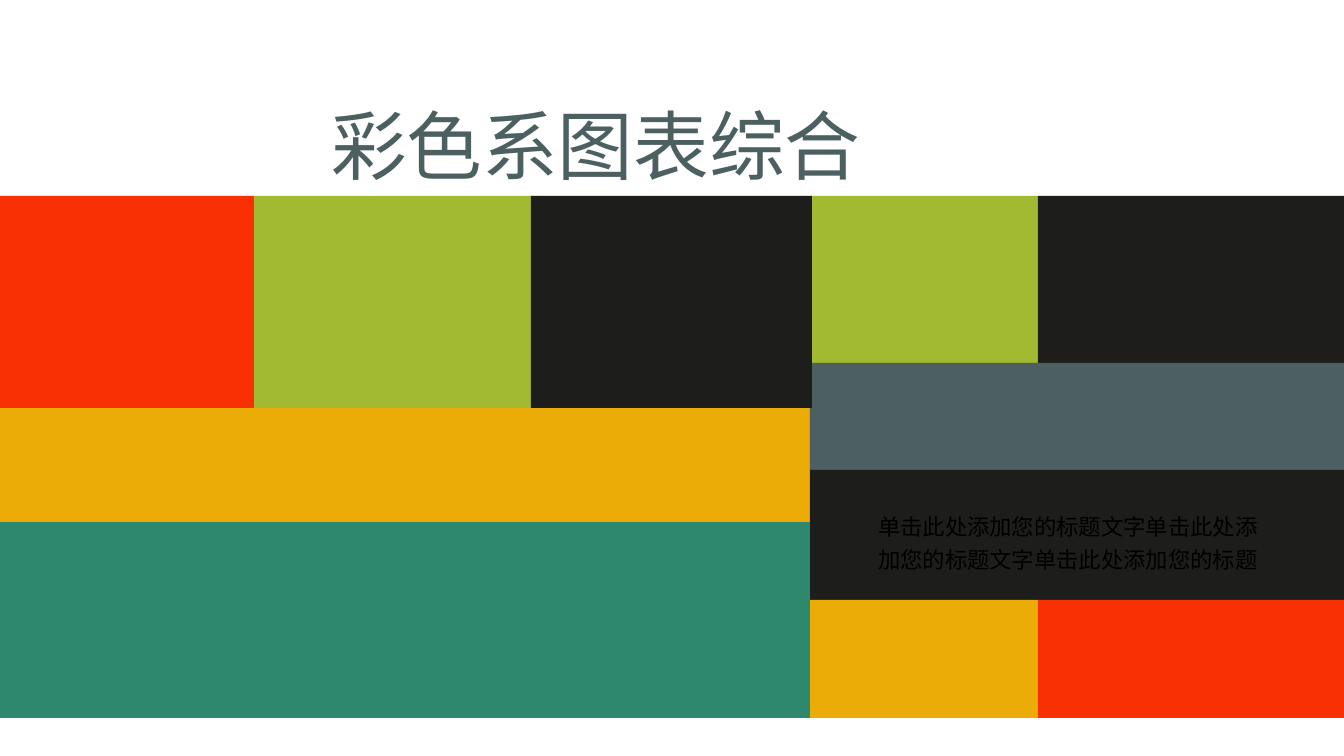
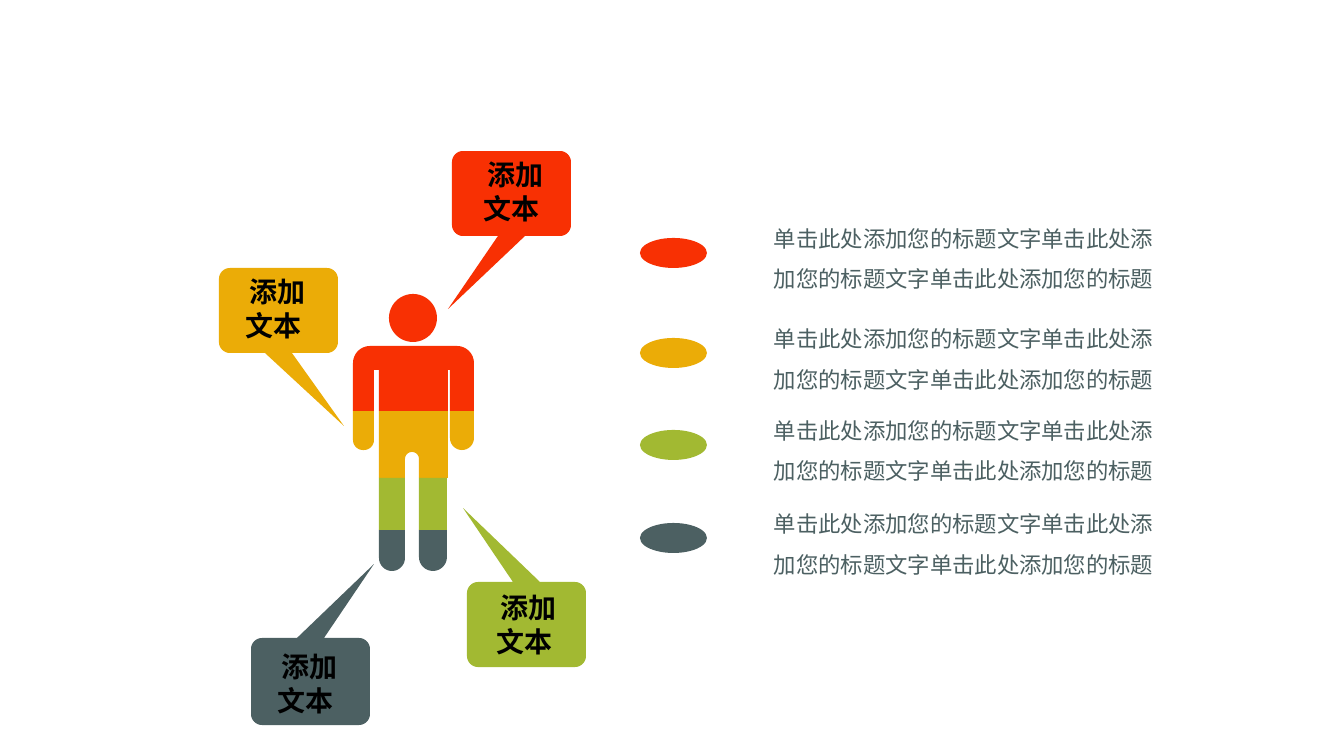
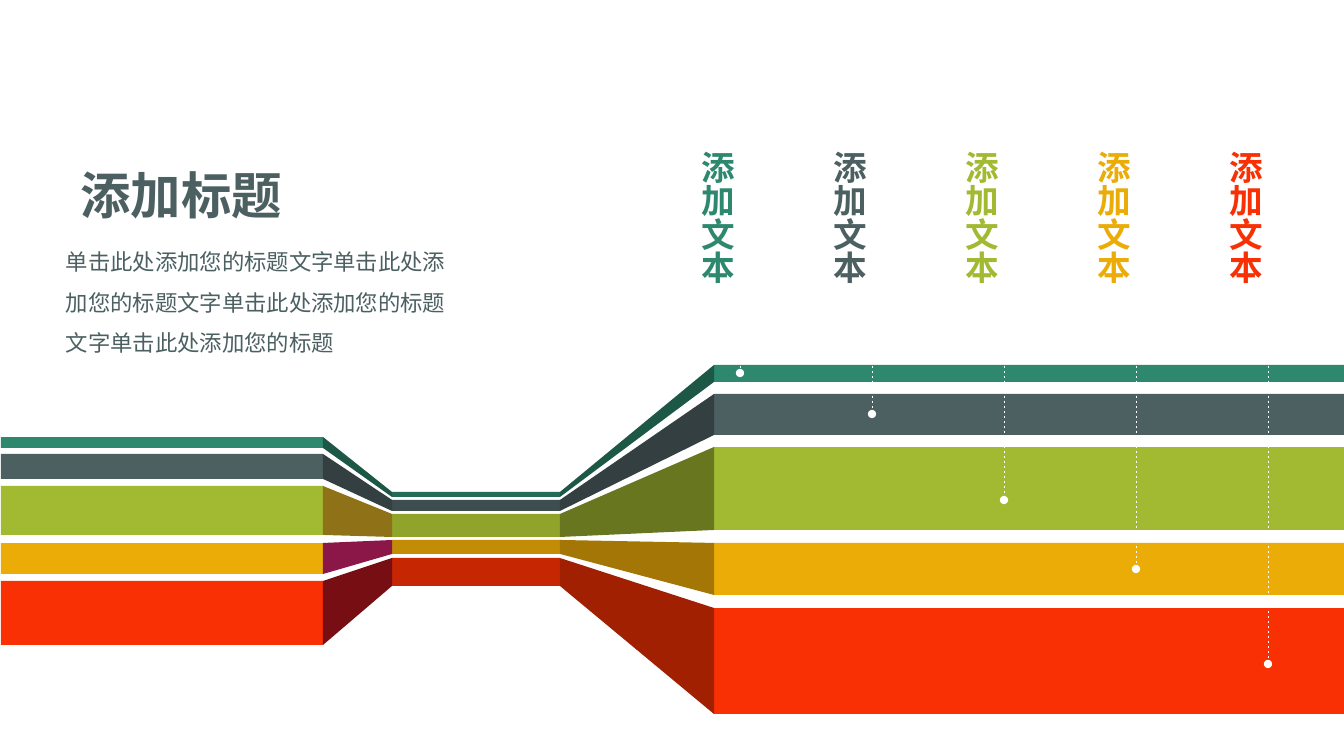
"""Build a three-slide deck of colourful blocks, a figure and ribbons."""
from typing import NamedTuple

from lxml import etree
from pptx import Presentation
from pptx import util as u
from pptx.dml.color import RGBColor
from pptx.enum import dml, shapes, text
from pptx.oxml.ns import qn

SCALE = 914400 / 100.8
FONT = "Noto Sans CJK SC"
RED, AMBER, GREEN = "F83003", "EBAC07", "A2B932"
TEAL, SLATE, DARK = "2D886E", "4C6062", "1D1D1B"
PHRASE = "单击此处添加您的标题"
DETAIL = "文字".join([PHRASE] * 3)
RECT = shapes.MSO_SHAPE.RECTANGLE
OVAL = shapes.MSO_SHAPE.OVAL
CENTER = text.PP_ALIGN.CENTER


class Box(NamedTuple):
    x: int
    y: int
    w: int
    h: int


class Corner(NamedTuple):
    x: int
    y: int
    r: int = 0


class Callout(NamedTuple):
    box: Box
    tip: Corner
    label: Box
    color: str


class Band(NamedTuple):
    left: tuple[int, int]
    middle: tuple[int, int]
    right: tuple[int, int]
    color: str
    middle_color: str
    left_slope: str
    right_slope: str
    pin: int


TILES = [
    (Box(252, 196, 281, 212), GREEN),
    (Box(0, 408, 812, 114), AMBER),
    (Box(810, 196, 228, 167), GREEN),
    (Box(1038, 196, 306, 167), DARK),
    (Box(810, 363, 534, 107), SLATE),
    (Box(810, 470, 534, 130), DARK),
    (Box(810, 600, 228, 118), AMBER),
    (Box(1038, 600, 306, 118), RED),
    (Box(0, 522, 810, 196), TEAL),
    (Box(0, 196, 254, 212), RED),
    (Box(531, 196, 281, 212), DARK),
]

TORSO = [
    Corner(353, 346, 17), Corner(474, 346, 17), Corner(474, 411),
    Corner(450, 411), Corner(450, 370), Corner(448, 370), Corner(448, 411),
    Corner(379, 411), Corner(379, 370), Corner(374, 370), Corner(374, 411),
    Corner(353, 411),
]
HIPS = [
    Corner(379, 411), Corner(448, 411), Corner(448, 478), Corner(419, 478),
    Corner(419, 452, 7), Corner(405, 452, 7), Corner(405, 478), Corner(379, 478),
]
HANDS = [Box(353, 411, 21, 39), Box(450, 411, 24, 39)]
SHINS = [Box(379, 478, 26, 52), Box(419, 478, 28, 52)]
FEET = [Box(379, 530, 26, 41), Box(419, 530, 28, 41)]

CALLOUTS = [
    Callout(Box(452, 151, 119, 85), Corner(448, 309), Box(462, 153, 100, 78), RED),
    Callout(Box(251, 638, 119, 87), Corner(374, 564), Box(256, 645, 100, 78), SLATE),
    Callout(Box(467, 582, 119, 85), Corner(463, 508), Box(475, 586, 100, 78), GREEN),
    Callout(Box(219, 268, 119, 85), Corner(344, 426), Box(224, 270, 100, 78), AMBER),
]
LEGEND = [(238, RED), (338, AMBER), (430, GREEN), (523, SLATE)]

BANDS = [
    Band((437, 448), (492, 497), (365, 382), TEAL, "236B56", "1D5746", "1D5746", 373),
    Band((454, 479), (500, 511), (394, 435), SLATE, "3E4E50", "333F41", "333F41", 414),
    Band((486, 535), (514, 537), (447, 530), GREEN, "90A42C", "8F7117", "687620", 500),
    Band((543, 574), (540, 554), (543, 595), AMBER, "C28C06", "8A1748", "A37605", 569),
    Band((581, 645), (558, 586), (608, 714), RED, "C62702", "770E13", "A22002", 664),
]
LEFT_X, LEFT_END, MIDDLE_X, MIDDLE_END, RIGHT_X, RIGHT_END = 1, 323, 392, 560, 714, 1344


def emu(px: float) -> int:
    """Turn pixels into EMU."""
    return round(px * SCALE)


def rgb(color: str) -> RGBColor:
    """Turn a hex string into a colour."""
    return RGBColor.from_string(color)


def paint(sp, color: str):
    """Give a shape a plain fill without line or shadow."""
    sp.shadow.inherit = False
    sp.fill.solid()
    sp.fill.fore_color.rgb = rgb(color)
    sp.line.fill.background()
    return sp


def block(s, kind, box: Box, color: str):
    """Draw a preset shape."""
    return paint(s.shapes.add_shape(kind, *map(emu, box)), color)


def fillet(before: Corner, corner: Corner, after: Corner) -> list[tuple[float, float]]:
    """Return the points that round one corner of an outline."""
    if not corner.r:
        return [(corner.x, corner.y)]
    ends = []
    for other in (before, after):
        dx, dy = other.x - corner.x, other.y - corner.y
        k = corner.r / (dx * dx + dy * dy) ** 0.5
        ends.append((dx * k, dy * k))
    (ax, ay), (bx, by) = ends
    points = []
    for step in range(9):
        t = step / 8
        a = (1 - t) ** 3 + 1.35 * t * (1 - t) ** 2
        b = t ** 3 + 1.35 * t * t * (1 - t)
        points.append((corner.x + a * ax + b * bx, corner.y + a * ay + b * by))
    return points


def outline(s, corners: list[Corner], color: str):
    """Draw a closed outline with optional rounded corners."""
    points = []
    for i, corner in enumerate(corners):
        points += fillet(corners[i - 1], corner, corners[(i + 1) % len(corners)])
    (x, y), *rest = [(emu(px), emu(py)) for px, py in points]
    builder = s.shapes.build_freeform(x, y)
    builder.add_line_segments(rest, close=True)
    return paint(builder.convert_to_shape(), color)


def write(s, box: Box, words: str, *, sp=None, size: int = 16, color: str = SLATE,
          bold: bool = False, align=text.PP_ALIGN.LEFT, spacing: float = 1.0,
          vertical: bool = False):
    """Put formatted text in a new text box or in a given placeholder."""
    if sp is None:
        sp = s.shapes.add_textbox(0, 0, 0, 0)
    else:
        sp.element.getparent().append(sp.element)
    sp.left, sp.top, sp.width, sp.height = map(emu, box)
    tf = sp.text_frame
    tf.word_wrap = True
    tf.auto_size = text.MSO_AUTO_SIZE.SHAPE_TO_FIT_TEXT
    tf.vertical_anchor = text.MSO_ANCHOR.TOP
    if vertical:
        tf._txBody.bodyPr.set("vert", "eaVert")
    for i, line in enumerate(words.split("\n")):
        p = tf.add_paragraph() if i else tf.paragraphs[0]
        p.alignment, p.line_spacing = align, spacing
        p.space_before = u.Pt(0)
        r = p.add_run()
        r.text = line
        r.font.size, r.font.bold, r.font.name = u.Pt(size), bold, FONT
        r.font.color.rgb = rgb(color)
        etree.SubElement(r.font._element, qn("a:ea")).set("typeface", FONT)
    return sp


def callout(s, c: Callout):
    """Draw a speech bubble with its label."""
    x, y, w, h = c.box
    base = c.box.y if c.tip.y < y else y + h
    tail = [Corner(x + 46, base), c.tip, Corner(x + 73, base)]
    top = [Corner(x, y, 11), Corner(x + w, y, 11)]
    bottom = [Corner(x + w, y + h, 11), Corner(x, y + h, 11)]
    if base == y:
        top[1:1] = tail
    else:
        bottom[1:1] = tail[::-1]
    outline(s, top + bottom, c.color)


def pin(s, x: int, top: int, bottom: int):
    """Draw a dashed white line with round ends."""
    line = s.shapes.add_connector(shapes.MSO_CONNECTOR.STRAIGHT,
                                  *map(emu, (x, top, x, bottom)))
    line.line.color.rgb = rgb("FFFFFF")
    line.line.width = u.Pt(0.5)
    line.line.dash_style = dml.MSO_LINE.DASH
    ln = line.line._get_or_add_ln()
    for end in ("a:headEnd", "a:tailEnd"):
        etree.SubElement(ln, qn(end)).set("type", "oval")
    etree.SubElement(line.element.spPr, qn("a:effectLst"))


def cover(prs):
    """Build the cover of coloured tiles."""
    s = prs.slides.add_slide(prs.slide_layouts[0])
    for box, color in TILES:
        block(s, RECT, box, color)
    write(s, Box(321, 94, 640, 102), "彩色系图表综合", sp=s.shapes.title, size=54)
    write(s, Box(868, 503, 417, 75), DETAIL, sp=s.placeholders[1],
          color="000000", spacing=1.2)


def figure(prs):
    """Build the slide with a figure, its callouts and a legend."""
    s = prs.slides.add_slide(prs.slide_layouts[6])
    block(s, OVAL, Box(389, 294, 48, 48), RED)
    for boxes, color in ((HANDS, AMBER), (FEET, SLATE)):
        for x, y, w, h in boxes:
            r = w // 2
            outline(s, [Corner(x, y), Corner(x + w, y), Corner(x + w, y + h, r),
                        Corner(x, y + h, r)], color)
    outline(s, HIPS, AMBER)
    for box in SHINS:
        block(s, RECT, box, GREEN)
    outline(s, TORSO, RED)
    for c in CALLOUTS:
        callout(s, c)
        write(s, c.label, " 添加\n文本", size=20, color="000000", bold=True, align=CENTER)
    for y, color in LEGEND:
        block(s, OVAL, Box(640, y, 67, 30), color)
        write(s, Box(764, y - 31, 417, 92), DETAIL, spacing=1.5)


def ribbons(prs):
    """Build the slide with five ribbons through a narrow middle."""
    s = prs.slides.add_slide(prs.slide_layouts[5])
    for b in BANDS:
        flats = ((LEFT_X, LEFT_END, b.left, b.color),
                 (MIDDLE_X, MIDDLE_END, b.middle, b.middle_color),
                 (RIGHT_X, RIGHT_END, b.right, b.color))
        for x, end, (top, bottom), color in flats:
            block(s, RECT, Box(x, top, end - x, bottom - top), color)
        slopes = ((LEFT_END, b.left, MIDDLE_X, b.middle, b.left_slope),
                  (MIDDLE_END, b.middle, RIGHT_X, b.right, b.right_slope))
        for x, near, end, far, color in slopes:
            outline(s, [Corner(x, near[0]), Corner(end, far[0]),
                        Corner(end, far[1]), Corner(x, near[1])], color)
    for i, b in enumerate(BANDS):
        pin(s, 740 + 132 * i, 137, b.pin)
        write(s, Box(679 + 132 * i, 133, 61, 175), " 添加文本", size=24, color=b.color,
              bold=True, align=CENTER, vertical=True)
    write(s, Box(56, 230, 417, 132), "文字".join([PHRASE] * 4), spacing=1.5)
    write(s, Box(56, 159, 250, 72), "添加标题", sp=s.shapes.title, size=36,
          bold=True, align=CENTER)


def main():
    """Build and save the deck."""
    prs = Presentation()
    prs.slide_width, prs.slide_height = emu(1344), emu(756)
    for build in (cover, figure, ribbons):
        build(prs)
    prs.save("out.pptx")


if __name__ == "__main__":
    main()
